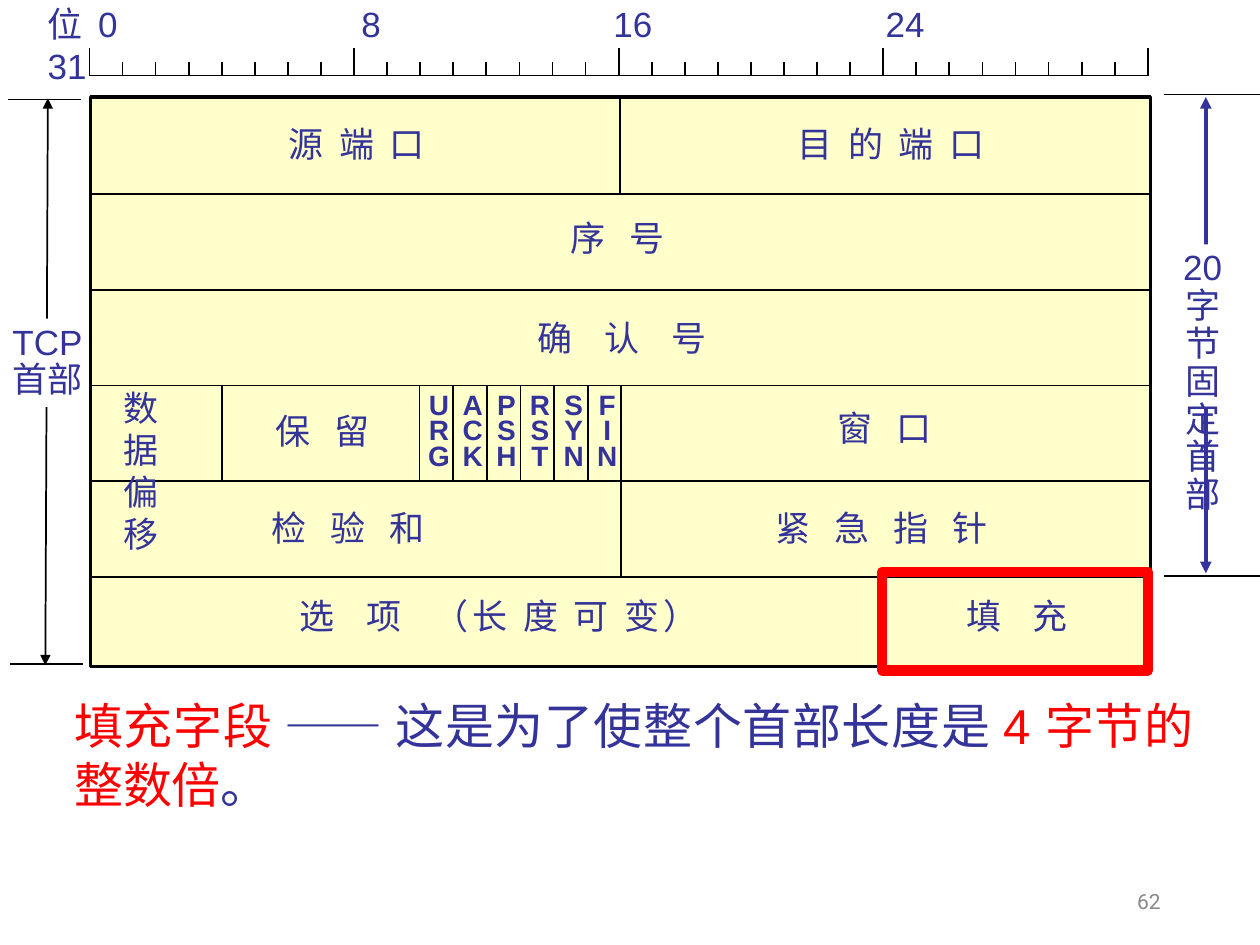
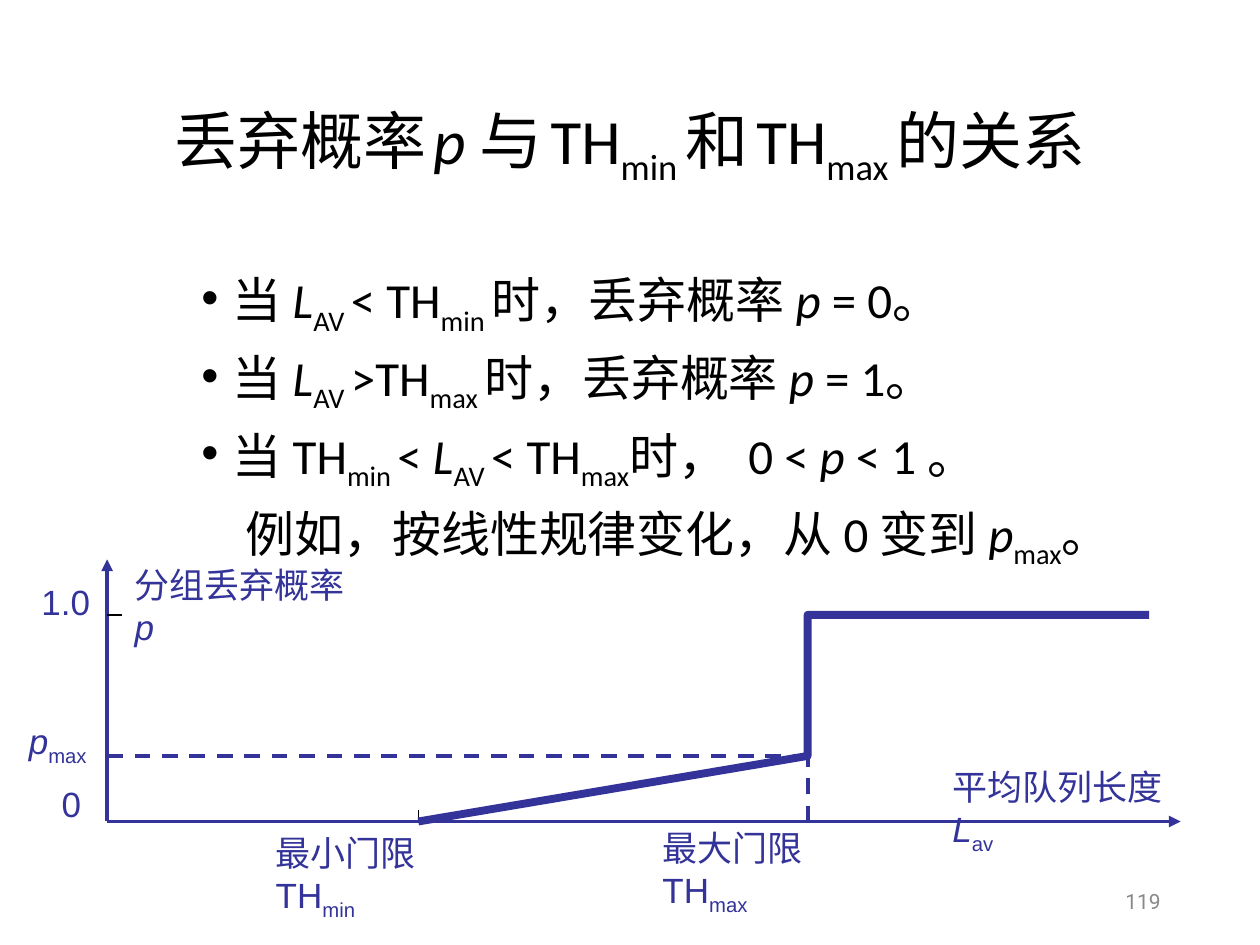
from dataclasses import dataclass
from typing import Optional

import pptx
import pptx.dml.color
import pptx.enum.dml
import pptx.enum.shapes
import pptx.enum.text
import pptx.oxml
import pptx.oxml.ns
import pptx.util

Inches = pptx.util.Inches
Pt = pptx.util.Pt
ALIGN = pptx.enum.text.PP_ALIGN
ANCHOR = pptx.enum.text.MSO_ANCHOR

COLORS = {
    "ink": "333399", "black": "000000", "white": "FFFFFF",
    "field": "FFFFCC", "alert": "FF0000", "page": "898989",
}


@dataclass(frozen=True)
class Style:
    size: float = 20
    font: str = "Arial"
    color: str = "ink"
    bold: bool = False


LABEL = Style()
FLAG = Style(16, bold=True)
NOTE = Style(28)
TITLE = Style(36, "Calibri", "black")
BODY = Style(28, "Calibri", "black")
PAGE = Style(12, "Roboto", "page")


@dataclass(frozen=True)
class Run:
    text: str
    italic: bool = False
    sub: bool = False
    spacing: float = 0
    color: Optional[str] = None
    size: Optional[float] = None


@dataclass(frozen=True)
class Para:
    runs: tuple
    align: Optional[int] = None
    line: Optional[float] = None
    before: float = 0
    indent: Optional[tuple] = None
    bullet: bool = False
    tabs: tuple = ()


@dataclass(frozen=True)
class FieldLabel:
    text: str
    left: float
    top: float
    width: float
    gap: int  # spaces' worth of air between characters


def lines(*texts: str, align=None, line=None) -> list:
    return [Para((Run(text),), align, line) for text in texts]


def sub(text: str) -> Run:
    return Run(text, sub=True)


def italic(text: str) -> Run:
    return Run(text, italic=True)


def spread(text: str, gap: int) -> Run:
    return Run(text, spacing=2.28 * (gap - 1))


def rgb(name: str):
    return pptx.dml.color.RGBColor.from_string(COLORS[name])


def add_xml(parent, tag: str, **attributes: str):
    child = pptx.oxml.parse_xml(f"<{tag} {pptx.oxml.ns.nsdecls('a')}/>")
    for key, value in attributes.items():
        child.set(key, value)
    parent.append(child)
    return child


def write(shape, paras: list, style: Style, anchor=ANCHOR.TOP) -> None:
    frame = shape.text_frame
    frame.word_wrap = True
    frame.vertical_anchor = anchor
    for i, para in enumerate(paras):
        p = frame.add_paragraph() if i else frame.paragraphs[0]
        p.alignment = para.align or ALIGN.LEFT
        p.line_spacing = para.line
        if i and para.before:
            p.space_before = Pt(para.before)
        pPr = p._p.get_or_add_pPr()
        if para.indent:
            for key, value in zip(("marL", "indent"), para.indent):
                pPr.set(key, str(Inches(value)))
        if para.bullet:
            add_xml(pPr, "a:buFont", typeface="Arial")
            add_xml(pPr, "a:buChar", char="•")
        if para.tabs:
            stops = add_xml(pPr, "a:tabLst")
            for stop in para.tabs:
                add_xml(stops, "a:tab", pos=str(Inches(stop)), algn="l")
        for part in para.runs:
            run = p.add_run()
            run.text = part.text
            font = run.font
            font.name, font.size = style.font, Pt(part.size or style.size)
            font.bold, font.italic = style.bold, part.italic
            font.color.rgb = rgb(part.color or style.color)
            rPr = run._r.get_or_add_rPr()
            if part.sub:
                rPr.set("baseline", "-25000")
            if part.spacing:
                rPr.set("spc", str(round(part.spacing * 100)))


def text(slide, left: float, top: float, width: float, height: float,
         paras: list, style: Style = LABEL, anchor=ANCHOR.TOP) -> None:
    box = slide.shapes.add_textbox(*map(Inches, (left, top, width, height)))
    write(box, paras, style, anchor)


def paint(shape, fill: Optional[str], line: Optional[str], width: float) -> None:
    shape.shadow.inherit = False
    if fill:
        shape.fill.solid()
        shape.fill.fore_color.rgb = rgb(fill)
    else:
        shape.fill.background()
    if line:
        shape.line.color.rgb = rgb(line)
        shape.line.width = Pt(width)
    else:
        shape.line.fill.background()


def rect(slide, left: float, top: float, width: float, height: float,
         fill: Optional[str] = None, line: Optional[str] = None, weight: float = 1):
    shape = slide.shapes.add_shape(pptx.enum.shapes.MSO_SHAPE.RECTANGLE,
                                   *map(Inches, (left, top, width, height)))
    paint(shape, fill, line, weight)
    return shape


def rule(slide, x1: float, y1: float, x2: float, y2: float, color: str = "black",
         weight: float = 1, arrows: tuple = (), dashed: bool = False) -> None:
    """Draw a straight line; arrows lists "headEnd" and/or "tailEnd"."""
    line = slide.shapes.add_connector(pptx.enum.shapes.MSO_CONNECTOR.STRAIGHT,
                                      *map(Inches, (x1, y1, x2, y2)))
    line.line.color.rgb = rgb(color)
    line.line.width = Pt(weight)
    if dashed:
        line.line.dash_style = pptx.enum.dml.MSO_LINE.DASH
    spPr = line._element.spPr
    for end in arrows:
        add_xml(spPr.find(pptx.oxml.ns.qn("a:ln")), f"a:{end}", type="triangle")
    add_xml(spPr, "a:effectLst")


def new_slide(deck, page: int):
    slide = deck.slides.add_slide(deck.slide_layouts[6])
    text(slide, 7.06, 6.95, 2.25, 0.4, lines(str(page), align=ALIGN.RIGHT),
         PAGE, ANCHOR.MIDDLE)
    return slide


# TCP header geometry
LEFT, RIGHT, TOP, ROW = 0.72, 9.13, 0.78, 0.76
BIT, FLAG_STEP = 0.2625, 0.267
FIELDS = [
    FieldLabel("源 端 口", 2.19, 0.92, 1.34, 2),
    FieldLabel("目 的 端 口", 6.23, 0.92, 1.77, 2),
    FieldLabel("序 号", 4.43, 1.67, 1.51, 3),
    FieldLabel("确 认 号", 4.17, 2.46, 2.01, 4),
    FieldLabel("保 留", 2.09, 3.2, 1.1, 3),
    FieldLabel("窗 口", 6.55, 3.18, 1.1, 3),
    FieldLabel("检 验 和", 2.06, 3.97, 1.55, 3),
    FieldLabel("紧 急 指 针", 6.06, 3.97, 2.05, 3),
    FieldLabel("填 充", 7.57, 4.67, 1.37, 4),
]


def bit_scale(slide) -> None:
    base, start = 0.6, 0.71
    rule(slide, start, base, start + 32 * BIT, base)
    for bit in range(33):
        x = start + bit * BIT
        rule(slide, x, 0.49 if bit % 8 else 0.38, x, base)
    marks = Para((Run("位\t0\t8\t16\t24"),), tabs=(0.4, 2.49, 4.49, 6.65))
    text(slide, 0.28, -0.03, 8.89, 0.76, [marks, *lines("31")])


def header_extents(slide) -> None:
    """Draw the measuring arrows on both sides of the header."""
    both = ("headEnd", "tailEnd")
    rule(slide, 0.38, 0.78, 0.36, 5.28, arrows=both)
    write(rect(slide, 0, 2.53, 0.78, 0.7, "white"),
          lines("TCP", "首部", line=0.9), LABEL)
    rule(slide, 9.57, 0.77, 9.57, 4.55, "ink", 2.25, both)
    write(rect(slide, 9.17, 1.94, 0.75, 1.3, "white"),
          lines("20", "字节", "固定", "首部", align=ALIGN.CENTER, line=0.9), LABEL)
    for x1, x2, y in ((9.24, 10, 0.75), (9.24, 10, 4.57),
                      (0.06, 0.64, 0.79), (0.08, 0.66, 5.27)):
        rule(slide, x1, y, x2, y)


def header_grid(slide) -> None:
    rect(slide, LEFT, 0.77, RIGHT - LEFT, 4.52, "field", "black", 2)
    row_tops = [TOP + i * ROW for i in range(6)]
    for y in row_tops[1:]:
        rule(slide, LEFT, y, RIGHT, y)
    rule(slide, 4.92, row_tops[0], 4.92, row_tops[1])
    rule(slide, 4.93, row_tops[3], 4.93, row_tops[5])
    flag_edges = [3.33 + i * FLAG_STEP for i in range(6)]
    for x in (1.76, *flag_edges):
        rule(slide, x, row_tops[3], x, row_tops[4])
    for edge, flag in zip(flag_edges, ("URG", "ACK", "PSH", "RST", "SYN", "FIN")):
        text(slide, edge - 0.03, 3.09, 0.37, 0.7,
             lines(*flag, align=ALIGN.CENTER, line=0.75), FLAG)
    for field in FIELDS:
        text(slide, field.left, field.top, field.width, 0.43,
             [Para((spread(field.text, field.gap),))])
    text(slide, 2.28, 4.67, 3.5, 0.43,
         [Para((spread("选 项 ", 4), spread("（长 度 可 变）", 2)))])
    text(slide, 0.88, 3.02, 0.75, 0.76, lines("数据", "偏移"))


def tcp_header_slide(deck) -> None:
    slide = new_slide(deck, 62)
    header_extents(slide)
    header_grid(slide)
    bit_scale(slide)
    rect(slide, 7, 4.54, 2.11, 0.78, line="alert", weight=6)
    text(slide, 0.49, 5.47, 9.08, 1.03, [Para((
        Run("填充字段 ", color="alert"), Run("—— 这是为了使整个首部长度是 "),
        Run("4 字节的整数倍", color="alert"), Run("。")), ALIGN.JUSTIFY)], NOTE)


def drop_curve(slide) -> None:
    x0, x_min, x_max, x_end = 0.85, 3.32, 6.41, 9.12
    y0, y_pmax, y_one = 6.52, 6, 4.88
    for x, y in ((9.37, y0), (x0, 4.44)):
        rule(slide, x0, y0, x, y, "ink", 2.25, ("tailEnd",))
    for x, y in ((x_max, y0), (x0, y_pmax)):
        rule(slide, x, y, x_max, y_pmax, "ink", 2.25, dashed=True)
    rule(slide, x_min, 6.43, x_min, y0, weight=0.75)
    rule(slide, x0, y_one, 0.97, y_one, weight=0.75)
    outline = slide.shapes.build_freeform(Inches(x_min), Inches(y0))
    corners = ((x_max, y_pmax), (x_max, y_one), (x_end, y_one))
    outline.add_line_segments([(Inches(x), Inches(y)) for x, y in corners], close=False)
    paint(outline.convert_to_shape(), None, "ink", 4.5)

    for left, top, width, runs in (
        (2.09, 6.55, 2.0, (Run("最小门限 TH"), sub("min"))),
        (5.16, 6.51, 2.0, (Run("最大门限 TH"), sub("max"))),
        (7.46, 6.03, 2.0, (Run("平均队列长度 "), italic("L"), sub("av"))),
        (0.97, 4.42, 2.0, (Run("分组丢弃概率 "), italic("p"))),
        (0.23, 4.56, 0.62, (Run("1.0"),)),
        (0.39, 6.16, 0.36, (Run("0"),)),
        (0.13, 5.66, 0.75, (italic("p"), sub("max"))),
    ):
        text(slide, left, top, width, 0.43, [Para(runs)])


def drop_probability_slide(deck) -> None:
    slide = new_slide(deck, 119)
    text(slide, 0.69, 0.4, 8.62, 1.45, [Para((
        Run("丢弃概率"), Run(" ", size=18), italic("p "), Run("与"), Run(" ", size=20),
        Run("TH"), sub("min "), Run("和"), Run(" ", size=20), Run("TH"), sub("max "),
        Run("的关系")), ALIGN.CENTER, 0.9)], TITLE, ANCHOR.MIDDLE)

    average = (italic("L"), sub("AV "))
    cases = [
        (Run("当 "), *average, Run(f"{sign}TH"), sub(f"{limit} "),
         Run("时，丢弃概率 "), italic("p"), Run(f" = {value}。"))
        for sign, limit, value in (("< ", "min", 0), (">", "max", 1))
    ]
    cases.append((Run("当 TH"), sub("min "), Run("< "), *average, Run("< TH"),
                  sub("max"), Run("时，"), Run(" ", spacing=6), Run("0 < "),
                  italic("p "), Run("< 1 。")))
    example = (Run("例如，按线性规律变化，从 0 变到 "), italic("p"), sub("max"), Run("。"))
    paras = [Para(runs, line=0.9, before=10, indent=(0.25, -0.25), bullet=True)
             for runs in cases]
    paras.append(Para(example, line=0.9, before=10, indent=(0.35, 0)))
    text(slide, 1.5, 2.1, 8.5, 2.6, paras, BODY)
    drop_curve(slide)


def main() -> None:
    deck = pptx.Presentation()
    deck.slide_width, deck.slide_height = Inches(10), Inches(7.5)
    tcp_header_slide(deck)
    drop_probability_slide(deck)
    deck.save("out.pptx")


if __name__ == "__main__":
    main()
